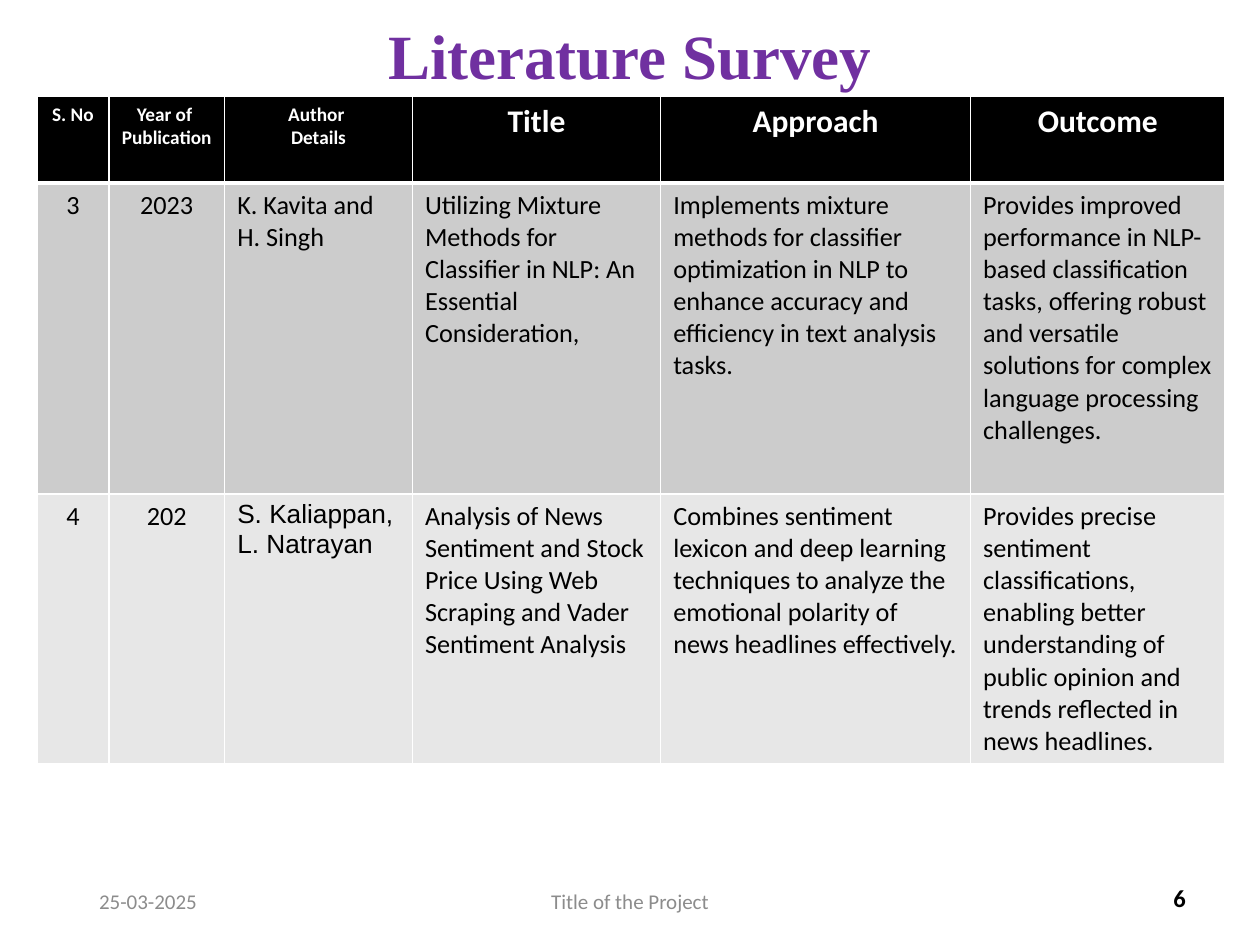
from lxml import etree
from pptx import Presentation
from pptx.dml.color import RGBColor
from pptx.enum import text
from pptx.oxml import ns
from pptx.util import Pt

# Content
TITLE = "Literature Survey"
HEADERS = ["S. No", "Year of \nPublication", "Author \nDetails", "Title", "Approach", "Outcome"]
PAPERS = [
    ["3", "2023", "K. Kavita and H. Singh",
     "Utilizing Mixture Methods for Classifier in NLP: An Essential Consideration,",
     "Implements mixture methods for classifier optimization in NLP to enhance "
     "accuracy and efficiency in text analysis tasks.",
     "Provides improved performance in NLP-based classification tasks, offering robust "
     "and versatile solutions for complex language processing challenges."],
    ["4", "202", "S. Kaliappan, L. Natrayan",
     "Analysis of News Sentiment and Stock Price Using Web Scraping and Vader Sentiment Analysis",
     "Combines sentiment lexicon and deep learning techniques to analyze the emotional "
     "polarity of news headlines effectively.",
     "Provides precise sentiment classifications, enabling better understanding of public "
     "opinion and trends reflected in news headlines."],
]
LEFT, CENTER, RIGHT = text.PP_ALIGN.LEFT, text.PP_ALIGN.CENTER, text.PP_ALIGN.RIGHT
FOOTERS = [  # text, box, format
    ("25-03-2025", (49.5, 500.5, 162, 28.75), dict(color="8C8C8C")),
    ("Title of the Project", (238.5, 500.5, 243, 28.75), dict(color="8C8C8C", align=CENTER)),
    ("6", (522.75, 498.5, 162, 28.75), dict(size=14, bold=True, align=RIGHT)),
]
COLUMN_WIDTHS = [41, 66.2, 107.3, 141.9, 177.1, 145.4]
ROW_HEIGHTS = [49.5, 177.8, 154]
ROW_FILLS = ["000000", "CCCCCC", "E7E7E7"]


def rgb(value):
    return RGBColor.from_string(value)


def write(frame, content, size=12, font="Calibri", color="000000", bold=False,
          align=LEFT, spacing=None):
    frame.text = content
    frame.word_wrap = True
    for paragraph in frame.paragraphs:
        paragraph.alignment = align
        paragraph.line_spacing = spacing
        for run in paragraph.runs:
            run.font.size = Pt(size)
            run.font.name = font
            run.font.bold = bold
            run.font.color.rgb = rgb(color)


def set_borders(cell, widths):
    properties = cell._tc.get_or_add_tcPr()
    for side, width in zip("LRTB", widths):
        line = etree.SubElement(properties, ns.qn(f"a:ln{side}"), w=str(Pt(width)))
        fill = etree.SubElement(line, ns.qn("a:solidFill"))
        etree.SubElement(fill, ns.qn("a:srgbClr"), val="FFFFFF")


presentation = Presentation()
presentation.slide_width, presentation.slide_height = Pt(720), Pt(540)
slide = presentation.slides.add_slide(presentation.slide_layouts[5])

# Title
title = slide.shapes.title
title.left, title.top, title.width, title.height = map(Pt, (49.5, 13, 621, 41.75))
write(title.text_frame, TITLE, size=36, font="Times New Roman", color="7030A0",
      bold=True, align=CENTER, spacing=0.9)
title.text_frame.auto_size = text.MSO_AUTO_SIZE.NONE
title.text_frame.vertical_anchor = text.MSO_ANCHOR.MIDDLE

# Footer line
for content, box, style in FOOTERS:
    shape = slide.shapes.add_textbox(*map(Pt, box))
    write(shape.text_frame, content, **style)
    shape.text_frame.vertical_anchor = text.MSO_ANCHOR.MIDDLE

# Survey table
rows = [HEADERS] + PAPERS
table = slide.shapes.add_table(
    len(rows), len(HEADERS), Pt(21.2), Pt(55),
    Pt(sum(COLUMN_WIDTHS)), Pt(sum(ROW_HEIGHTS))).table
for column, width in zip(table.columns, COLUMN_WIDTHS):
    column.width = Pt(width)
for r, values in enumerate(rows):
    table.rows[r].height = Pt(ROW_HEIGHTS[r])
    for c, content in enumerate(values):
        cell = table.cell(r, c)
        if r == 0:
            style = dict(size=11 if c < 3 else 18, color="FFFFFF", bold=True, align=CENTER)
        else:
            style = dict(size=15, align=CENTER if c < 2 else LEFT,
                         font="Arial" if (r, c) == (2, 2) else "Calibri")
        write(cell.text_frame, content, **style)
        set_borders(cell, (1, 1, 3 if r == 1 else 1, 3 if r == 0 else 1))
        cell.fill.solid()
        cell.fill.fore_color.rgb = rgb(ROW_FILLS[r])

presentation.save("out.pptx")
